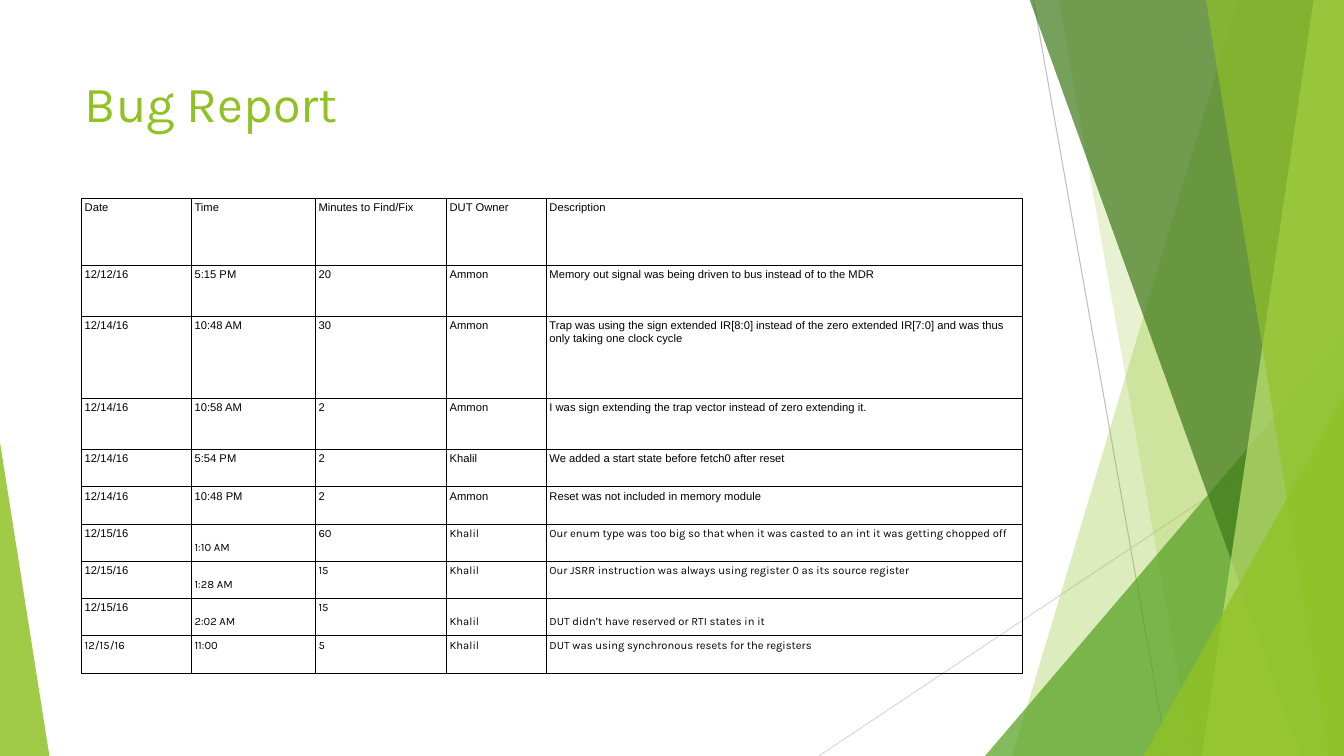
from pptx import Presentation
from pptx.dml.color import RGBColor
from pptx.enum import shapes, text
from pptx.oxml.ns import qn
from pptx.util import Inches, Pt
from lxml import etree

BLACK = RGBColor(0x00, 0x00, 0x00)
GREEN = RGBColor(0x90, 0xC2, 0x26)
MID_GREEN = RGBColor(0x54, 0xA0, 0x21)
DARK_GREEN = RGBColor(0x3F, 0x78, 0x19)
PALE_GREEN = RGBColor(0xC0, 0xE4, 0x74)
GRAY = RGBColor(0xBF, 0xBF, 0xBF)
LIGHT_GRAY = RGBColor(0xD9, 0xD9, 0xD9)

WIDTH, HEIGHT = 13.33, 7.5
BAND_TOP = -0.01
COLUMN_WIDTHS = [1.09, 1.23, 1.3, 0.99, 4.72]
ROW_HEIGHTS = [0.66, 0.51, 0.81, 0.51] + [0.37] * 6
BUGS = [
    ("Date", "Time", "Minutes to Find/Fix", "DUT Owner", "Description"),
    ("12/12/16", "5:15 PM", "20", "Ammon",
     "Memory out signal was being driven to bus instead of to the MDR"),
    ("12/14/16", "10:48 AM", "30", "Ammon",
     "Trap was using the sign extended IR[8:0] instead of the zero extended "
     "IR[7:0] and was thus only taking one clock cycle"),
    ("12/14/16", "10:58 AM", "2", "Ammon",
     "I was sign extending the trap vector instead of zero extending it."),
    ("12/14/16", "5:54 PM", "2", "Khalil",
     "We added a start state before fetch0 after reset"),
    ("12/14/16", "10:48 PM", "2", "Ammon",
     "Reset was not included in memory module"),
    ("12/15/16", "1:10 AM", "60", "Khalil",
     "Our enum type was too big so that when it was casted to an int "
     "it was getting chopped off"),
    ("12/15/16", "1:28 AM", "15", "Khalil",
     "Our JSRR instruction was always using register 0 as its source register"),
    ("12/15/16", "2:02 AM", "15", "Khalil",
     "DUT didn’t have reserved or RTI states in it"),
    ("12/15/16", "11:00", "5", "Khalil",
     "DUT was using synchronous resets for the registers"),
]
FIRST_KARLA_ROW = 6
LAST_ROW = len(BUGS) - 1
# Cells (row, column) whose text sits on the second line
LOW_CELLS = {(6, 1), (7, 1), (8, 1), (8, 3), (8, 4)}


def add_line(slide, start, end, color):
    line = slide.shapes.add_connector(
        shapes.MSO_CONNECTOR.STRAIGHT, *(Inches(v) for v in (*start, *end)))
    line.line.color.rgb = color
    line.line.width = Pt(0.75)
    etree.SubElement(line._element.spPr, qn("a:effectLst"))


def fill_shape(sp, color, opacity):
    """Fill without outline or shadow; opacity is in percent."""
    sp.shadow.inherit = False
    sp.line.fill.background()
    sp.fill.solid()
    sp.fill.fore_color.rgb = color
    srgb = sp._element.spPr.find(qn("a:solidFill")).find(qn("a:srgbClr"))
    etree.SubElement(srgb, qn("a:alpha"), val=str(opacity * 1000))


def add_band(slide, top_x, bottom_x, color, opacity):
    """Full-height band from a slanted left side to the slide's right edge."""
    corners = [(top_x, BAND_TOP), (WIDTH, BAND_TOP),
               (WIDTH, HEIGHT), (bottom_x, HEIGHT)]
    points = [(Inches(x), Inches(y)) for x, y in corners]
    builder = slide.shapes.build_freeform(*points[0])
    builder.add_line_segments(points[1:], close=True)
    fill_shape(builder.convert_to_shape(), color, opacity)


def add_triangle(slide, left, top, width, apex, color, opacity):
    """Triangle standing on the slide's bottom edge."""
    sp = slide.shapes.add_shape(
        shapes.MSO_SHAPE.ISOSCELES_TRIANGLE,
        Inches(left), Inches(top), Inches(width), Inches(HEIGHT - top))
    sp.adjustments[0] = apex
    fill_shape(sp, color, opacity)


def add_decoration(slide):
    add_line(slide, (10.25, 0), (11.58, HEIGHT), GRAY)
    add_line(slide, (WIDTH, 4.03), (8.12, HEIGHT), LIGHT_GRAY)
    add_band(slide, 12.28, 10.04, GREEN, 30)
    add_band(slide, 10.5, 11.83, GREEN, 20)
    add_triangle(slide, 9.77, 3.33, 3.56, 1, MID_GREEN, 72)
    add_band(slide, 10.21, 12.91, DARK_GREEN, 70)
    add_band(slide, 13.03, 11.92, PALE_GREEN, 70)
    add_band(slide, 11.96, 13.18, GREEN, 65)
    add_triangle(slide, 11.34, 3.93, 1.99, 1, GREEN, 80)
    add_triangle(slide, 0, 4.39, 0.49, 0, GREEN, 85)


def set_title(slide, wording):
    title = slide.shapes.title
    title.left, title.top = Inches(0.74), Inches(0.67)
    title.width, title.height = Inches(9.4), Inches(1.44)
    tf = title.text_frame
    tf.text = wording
    tf.vertical_anchor = text.MSO_ANCHOR.TOP
    p = tf.paragraphs[0]
    p.alignment = text.PP_ALIGN.LEFT
    p.font.name, p.font.size = "Karla", Pt(36)
    p.font.color.rgb = GREEN


def add_borders(cell):
    props = cell._tc.get_or_add_tcPr()
    for i, side in enumerate(("lnL", "lnR", "lnT", "lnB")):
        ln = etree.Element(qn(f"a:{side}"), w=str(Pt(0.75)))
        fill = etree.SubElement(ln, qn("a:solidFill"))
        etree.SubElement(fill, qn("a:srgbClr"), val=str(BLACK))
        props.insert(i, ln)


def fill_cell(cell, wording, font_name, low):
    cell.text = wording
    cell.fill.background()
    cell.margin_left = cell.margin_right = Inches(0.03)
    cell.margin_top = Inches(0.03)
    cell.margin_bottom = Inches(0.07 if low else 0.03)
    cell.vertical_anchor = text.MSO_ANCHOR.BOTTOM if low else text.MSO_ANCHOR.TOP
    font = cell.text_frame.paragraphs[0].font
    font.name, font.size = font_name, Pt(8)
    font.color.rgb = BLACK
    add_borders(cell)


def add_bug_table(slide):
    table = slide.shapes.add_table(
        len(BUGS), len(COLUMN_WIDTHS), Inches(0.81), Inches(1.97),
        Inches(sum(COLUMN_WIDTHS)), Inches(sum(ROW_HEIGHTS))).table
    table.first_row = table.horz_banding = False
    for column, width in zip(table.columns, COLUMN_WIDTHS):
        column.width = Inches(width)
    for row, height in zip(table.rows, ROW_HEIGHTS):
        row.height = Inches(height)
    for r, bug in enumerate(BUGS):
        for c, wording in enumerate(bug):
            karla = r == LAST_ROW or (r >= FIRST_KARLA_ROW and c > 0)
            fill_cell(table.cell(r, c), wording,
                      "Karla" if karla else "Arial", (r, c) in LOW_CELLS)


def main():
    prs = Presentation()
    prs.slide_width, prs.slide_height = Inches(WIDTH), Inches(HEIGHT)
    slide = prs.slides.add_slide(prs.slide_layouts.get_by_name("Title Only"))
    add_decoration(slide)
    set_title(slide, "Bug Report")
    add_bug_table(slide)
    prs.save("out.pptx")


if __name__ == "__main__":
    main()
